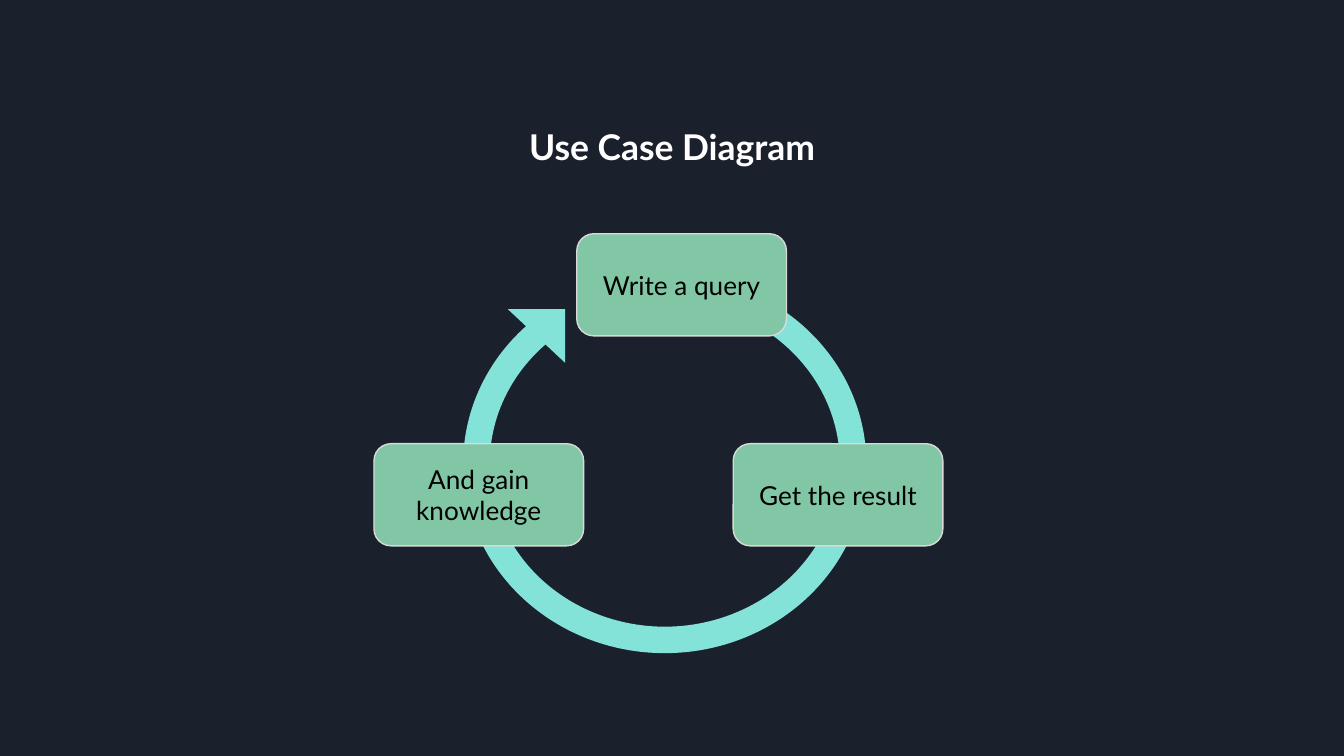
from dataclasses import dataclass

from pptx import Presentation
from pptx.dml.color import RGBColor
from pptx.enum.shapes import MSO_SHAPE
from pptx.enum.text import MSO_ANCHOR, PP_ALIGN
from pptx.shapes.autoshape import Shape
from pptx.slide import Slide
from pptx.util import Inches, Pt

SLIDE_WIDTH = 10
SLIDE_HEIGHT = SLIDE_WIDTH * 9 / 16
FONT = "Lato"
COLORS = {
    "background": "1B212C",
    "cycle": "83E3D9",
    "step": "82C7A5",
    "border": "D9D9D9",
    "title": "FFFFFF",
    "label": "000000",
}


@dataclass(frozen=True)
class Area:
    left_percent: float
    top_percent: float
    width_percent: float
    height_percent: float

    def lengths(self) -> tuple[int, int, int, int]:
        return (
            Inches(self.left_percent * SLIDE_WIDTH / 100),
            Inches(self.top_percent * SLIDE_HEIGHT / 100),
            Inches(self.width_percent * SLIDE_WIDTH / 100),
            Inches(self.height_percent * SLIDE_HEIGHT / 100),
        )


@dataclass(frozen=True)
class Step:
    text: str
    left_percent: float
    top_percent: float


STEP_WIDTH = 15.6
STEP_HEIGHT = 13.51
UPPER_ROW = 30.93
LOWER_ROW = 58.7
STEPS = (
    Step("Write a query", 42.92, UPPER_ROW),
    Step("Get the result", 54.56, LOWER_ROW),
    Step("And gain knowledge", 27.83, LOWER_ROW),
)
TITLE_AREA = Area(32.55, 14.76, 34.9, 9.42)
ARC_AREA = Area(34.46, 36.27, 30, 50.13)
ARROWHEAD_AREA = Area(37.78, 40.89, 4.27, 7.11)
ARC_START_DEGREES = 90
ARC_END_DEGREES = 50.21
ARC_THICKNESS = 0.07
ADJUSTMENT_PER_DEGREE = 0.6


def color(name: str) -> RGBColor:
    return RGBColor.from_string(COLORS[name])


def add_filled_shape(page: Slide, kind: MSO_SHAPE, area: Area, fill: str) -> Shape:
    shape = page.shapes.add_shape(kind, *area.lengths())
    shape.shadow.inherit = False
    shape.fill.solid()
    shape.fill.fore_color.rgb = color(fill)
    shape.line.fill.background()
    return shape


def write_text(box: Shape, text: str, size: float, ink: str, bold: bool = False) -> None:
    frame = box.text_frame
    frame.word_wrap = True
    frame.margin_left = frame.margin_right = Inches(0.1)
    frame.margin_top = frame.margin_bottom = Inches(0.1)
    para = frame.paragraphs[0]
    para.text = text
    para.alignment = PP_ALIGN.CENTER
    para.font.name = FONT
    para.font.size = Pt(size)
    para.font.bold = bold
    para.font.color.rgb = color(ink)


def add_cycle(page: Slide) -> None:
    arc = add_filled_shape(page, MSO_SHAPE.BLOCK_ARC, ARC_AREA, "cycle")
    arc.adjustments[0] = ARC_START_DEGREES * ADJUSTMENT_PER_DEGREE
    arc.adjustments[1] = ARC_END_DEGREES * ADJUSTMENT_PER_DEGREE
    arc.adjustments[2] = ARC_THICKNESS
    arrowhead = add_filled_shape(page, MSO_SHAPE.RIGHT_TRIANGLE, ARROWHEAD_AREA, "cycle")
    arc.rotation = arrowhead.rotation = 180


def add_title(page: Slide) -> None:
    box = page.shapes.add_textbox(*TITLE_AREA.lengths())
    write_text(box, "Use Case Diagram", 19, "title", bold=True)


def add_step(page: Slide, step: Step) -> None:
    area = Area(step.left_percent, step.top_percent, STEP_WIDTH, STEP_HEIGHT)
    box = add_filled_shape(page, MSO_SHAPE.ROUNDED_RECTANGLE, area, "step")
    box.line.color.rgb = color("border")
    box.line.width = Pt(0.75)
    box.text_frame.vertical_anchor = MSO_ANCHOR.MIDDLE
    write_text(box, step.text, 14, "label")


def main() -> None:
    deck = Presentation()
    deck.slide_width = Inches(SLIDE_WIDTH)
    deck.slide_height = Inches(SLIDE_HEIGHT)
    page = deck.slides.add_slide(deck.slide_layouts[6])
    page.background.fill.solid()
    page.background.fill.fore_color.rgb = color("background")
    add_cycle(page)
    add_title(page)
    for step in STEPS:
        add_step(page, step)
    deck.save("out.pptx")


if __name__ == "__main__":
    main()
